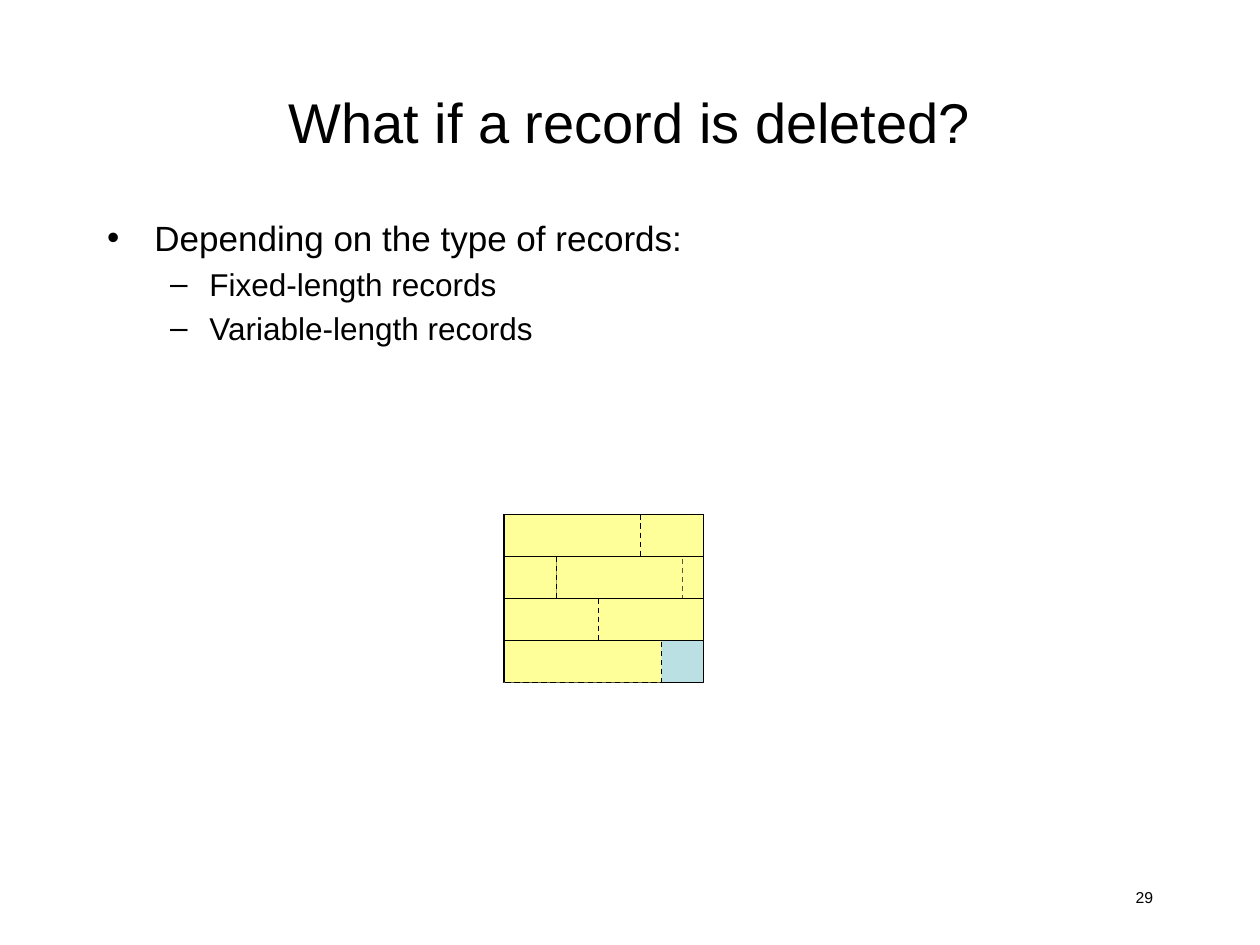
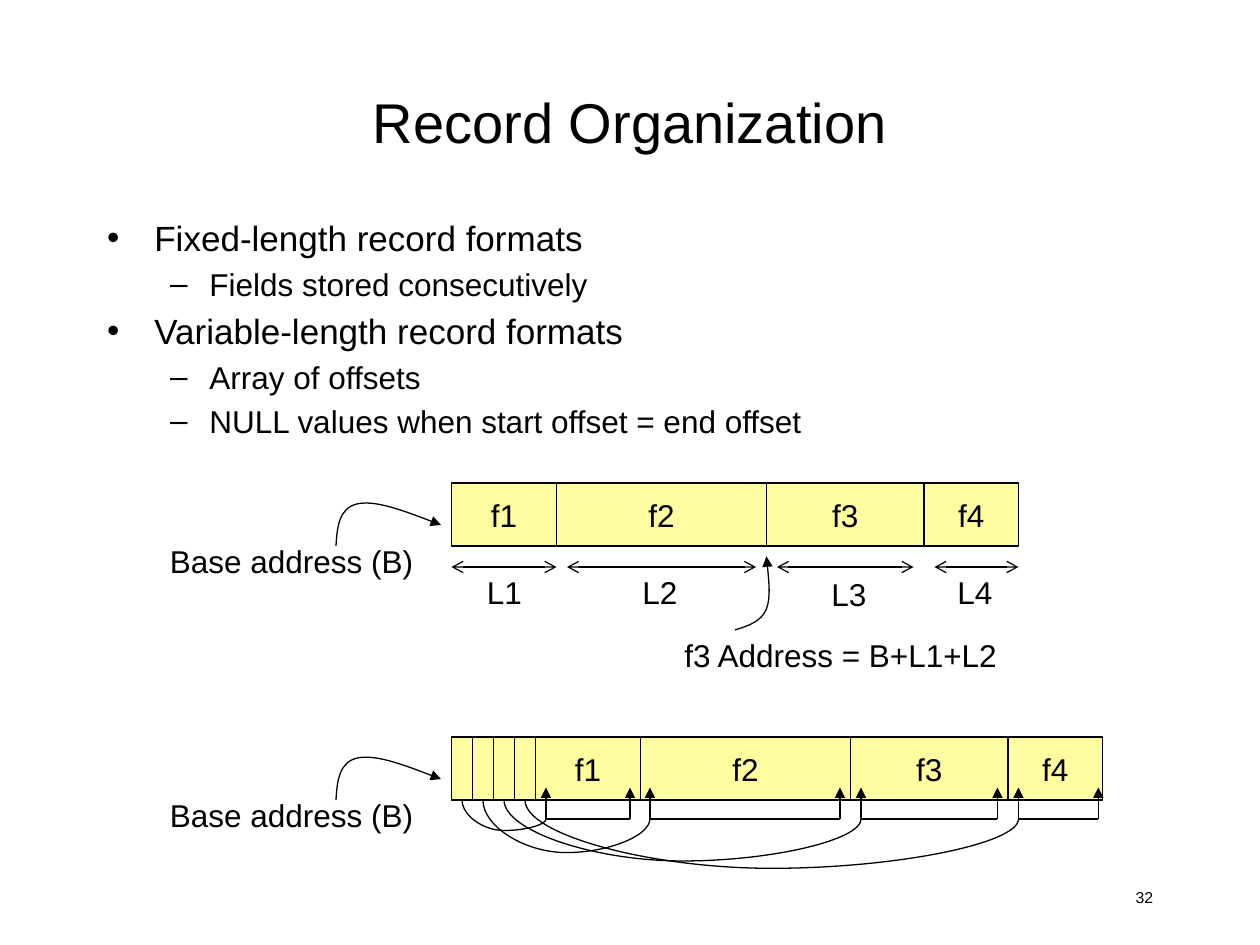
"""Build two lecture slides on deleting and organizing database records."""
from dataclasses import dataclass
from itertools import accumulate

from lxml import etree
from pptx import Presentation
from pptx.dml.color import RGBColor
from pptx.enum.dml import MSO_LINE
from pptx.enum.shapes import MSO_CONNECTOR, MSO_SHAPE
from pptx.enum.text import MSO_ANCHOR, MSO_AUTO_SIZE, PP_ALIGN
from pptx.oxml.ns import qn
from pptx.util import Cm, Pt

RECTANGLE = MSO_SHAPE.RECTANGLE
STRAIGHT, CURVE = MSO_CONNECTOR.STRAIGHT, MSO_CONNECTOR.CURVE
LEFT, CENTER, RIGHT = PP_ALIGN.LEFT, PP_ALIGN.CENTER, PP_ALIGN.RIGHT
TOP, MIDDLE = MSO_ANCHOR.TOP, MSO_ANCHOR.MIDDLE
FIXED, GROW = MSO_AUTO_SIZE.NONE, MSO_AUTO_SIZE.SHAPE_TO_FIT_TEXT
DASH = MSO_LINE.DASH


@dataclass(frozen=True)
class Theme:
    font: str = "Arial"
    ink: RGBColor = RGBColor(0, 0, 0)
    free_space: RGBColor = RGBColor(0xBB, 0xE0, 0xE3)
    stored: RGBColor = RGBColor(0xFF, 0xFF, 0x99)
    field: RGBColor = RGBColor(0xFF, 0xFD, 0xA0)
    title: int = 32
    levels: tuple = (20, 18)
    label: int = 18
    number: int = 9
    stroke: float = 0.75


THEME = Theme()
WIDTH, HEIGHT, COLUMNS = 25.4, 19.05, 120

DELETION = {
    "title": "What if a record is deleted?",
    "number": "29",
    "body_height": 61,
    "bullets": [
        (0, "Depending on the type of records:"),
        (1, "Fixed-length records"),
        (1, "Variable-length records"),
    ],
}
ORGANIZATION = {
    "title": "Record Organization",
    "number": "32",
    "body_height": 62,
    "bullets": [
        (0, "Fixed-length record formats"),
        (1, "Fields stored consecutively"),
        (0, "Variable-length record formats"),
        (1, "Array of offsets"),
        (1, "NULL values when start offset = end offset"),
    ],
}

BLOCK_LEFT, BLOCK_TOP, BLOCK_WIDTH, ROW = 48, 49, 19, 4
ROW_RECORDS = [
    (0, 0, 19, "solid"),
    (3, 0, 15, "dash"),
    (2, 0, 19, "solid"),
    (1, 17, 2, "dash"),
    (1, 0, 5, "dash"),
    (1, 5, 12, None),
]
ROW_BREAKS = [(0, 13), (1, 5), (2, 9)]
SECOND_ROW_SPANS = [(0, 5), (5, 17), (17, 19)]
SOLID_SIDES = [(3, 0), (1, 0), (1, 19)]

FIELDS = [("f1", 10), ("f2", 20), ("f3", 15), ("f4", 9)]
RECORD_LEFT, RECORD_HEIGHT = 43, 6
FIXED_TOP, VARIABLE_TOP = 46, 70.2
LENGTHS = [
    ("L1", 45.2, 54, (43, 53)),
    ("L2", 60, 54, (54, 72)),
    ("L3", 78, 54.2, (74, 87)),
    ("L4", 90, 54, (89, 97)),
]
BASE_POINTER = [(-11, 6), (-10.9, 4.2), (-10.7, 2.4), (-9, 2),
                (-7.3, 1.6), (-4.1, 2.8), (-1, 4)]
FIELD_POINTER = [(70, 60), (71.3, 59.6), (72.5, 59.2), (73, 58),
                 (73.4, 56.9), (73.2, 55), (73, 53)]
SLOT = 2
OFFSETS = [(52, 60, 79.1), (61.9, 80, 81.2), (82, 95, 82), (97, 104.6, 82.7)]
BRACKET_TOP, BRACKET_BOTTOM = 75, 78


def grid(units):
    return Cm(units * WIDTH / COLUMNS)


def place(box, left, top, width, height):
    box.left, box.top = grid(left), grid(top)
    box.width, box.height = grid(width), grid(height)


def add_span(para, text, size):
    span = para.add_run()
    span.text = text
    span.font.name = THEME.font
    span.font.size = Pt(size)
    span.font.color.rgb = THEME.ink


def write_label(box, text, size, align, anchor, auto_size, wrap=False):
    frame = box.text_frame
    frame.word_wrap = wrap
    frame.auto_size = auto_size
    frame.vertical_anchor = anchor
    para = frame.paragraphs[0]
    para.alignment = align
    add_span(para, text, size)


def add_text(shapes, bounds, text, size=THEME.label, align=LEFT,
             auto_size=GROW, wrap=False):
    box = shapes.add_textbox(*map(grid, bounds))
    write_label(box, text, size, align, TOP, auto_size, wrap)


def style_line(shape, dashed=False, head=None, tail=None):
    shape.line.color.rgb = THEME.ink
    shape.line.width = Pt(THEME.stroke)
    if dashed:
        shape.line.dash_style = DASH
    stroke = shape._element.spPr.find(qn("a:ln"))
    for tag, kind in (("a:headEnd", head), ("a:tailEnd", tail)):
        if kind:
            etree.SubElement(stroke, qn(tag)).set("type", kind)


def add_box(shapes, bounds, fill, outline="solid", text=None):
    box = shapes.add_shape(RECTANGLE, *map(grid, bounds))
    box.shadow.inherit = False
    box.fill.solid()
    box.fill.fore_color.rgb = fill
    if outline:
        style_line(box, outline == "dash")
    else:
        box.line.fill.background()
    if text:
        write_label(box, text, THEME.label, CENTER, MIDDLE, FIXED)


def add_line(shapes, start, end, kind=STRAIGHT, **style):
    line = shapes.add_connector(kind, *map(grid, (*start, *end)))
    style_line(line, **style)
    etree.SubElement(line._element.spPr, qn("a:effectLst"))
    return line


def add_sagging_curve(shapes, start, end, lowest):
    (left, top), (right, bottom) = start, end
    center_x, center_y = (left + right) / 2, (top + bottom) / 2
    half_x, half_y = (bottom - top) / 2, (right - left) / 2
    line = add_line(shapes, (center_x - half_x, center_y - half_y),
                    (center_x + half_x, center_y + half_y), CURVE)
    properties = line._element.spPr
    frame = properties.find(qn("a:xfrm"))
    frame.set("rot", "16200000")
    frame.set("flipH", "1")
    guides = properties.find(qn("a:prstGeom")).find(qn("a:avLst"))
    guide = etree.SubElement(guides, qn("a:gd"))
    guide.set("name", "adj1")
    guide.set("fmla", f"val {round((lowest - top) / (bottom - top) * 100000)}")


def add_pointer(shapes, points):
    corners = [(grid(x), grid(y)) for x, y in points]
    builder = shapes.build_freeform(*corners[0])
    builder.add_line_segments(corners[1:], close=False)
    pointer = builder.convert_to_shape()
    pointer.shadow.inherit = False
    pointer.fill.background()
    style_line(pointer, tail="triangle")
    segments = list(pointer._element.iter(qn("a:lnTo")))
    outline = segments[0].getparent()
    for first in range(0, len(segments), 3):
        bend = etree.SubElement(outline, qn("a:cubicBezTo"))
        for segment in segments[first:first + 3]:
            bend.append(segment[0])
            outline.remove(segment)


def add_page(deck, content):
    page = deck.slides.add_slide(deck.slide_layouts[1])
    title, body = page.placeholders
    place(title, 9, 4, 102, 15)
    write_label(title, content["title"], THEME.title, CENTER, MIDDLE, FIXED, True)
    place(body, 9, 20, 102, content["body_height"])
    frame = body.text_frame
    frame.auto_size = FIXED
    for index, (level, text) in enumerate(content["bullets"]):
        para = frame.add_paragraph() if index else frame.paragraphs[0]
        para.level = level
        add_span(para, text, THEME.levels[level])
    add_text(page.shapes, (86, 84, 25, 4), content["number"], THEME.number,
             RIGHT, FIXED, True)
    return page


def draw_block(shapes):
    def at(column, row):
        return BLOCK_LEFT + column, BLOCK_TOP + row * ROW

    add_box(shapes, (*at(0, 0), BLOCK_WIDTH, 4 * ROW), THEME.free_space)
    for row, column, width, outline in ROW_RECORDS:
        add_box(shapes, (*at(column, row), width, ROW), THEME.stored, outline)
    for sides, dashed in ((ROW_BREAKS, True), (SOLID_SIDES, False)):
        for row, column in sides:
            add_line(shapes, at(column, row), at(column, row + 1), dashed=dashed)
    for first, last in SECOND_ROW_SPANS:
        for edge in (1, 2):
            add_line(shapes, at(first, edge), at(last, edge))


def draw_record(shapes, left, top):
    widths = [width for _, width in FIELDS]
    starts = accumulate(widths[:-1], initial=left)
    for (name, width), start in zip(FIELDS, starts):
        add_box(shapes, (start, top, width, RECORD_HEIGHT), THEME.field, text=name)
    add_text(shapes, (15, top + 5, 25.56, 4.8), "Base address (B)")
    add_pointer(shapes, [(RECORD_LEFT + x, top + y) for x, y in BASE_POINTER])


def draw_fixed_record(shapes):
    draw_record(shapes, RECORD_LEFT, FIXED_TOP)
    for name, left, top, (start, end) in LENGTHS:
        add_line(shapes, (start, 54), (end, 54), head="arrow", tail="arrow")
        add_text(shapes, (left, top, 5.8, 4.8), name)
    add_text(shapes, (64, 60, 32.4, 4.8), "f3 Address = B+L1+L2")
    add_pointer(shapes, FIELD_POINTER)


def draw_variable_record(shapes):
    draw_record(shapes, RECORD_LEFT + SLOT * len(OFFSETS), VARIABLE_TOP)
    for index, (start, end, lowest) in enumerate(OFFSETS):
        left = RECORD_LEFT + index * SLOT
        add_box(shapes, (left, VARIABLE_TOP, SLOT, RECORD_HEIGHT), THEME.field)
        for x in (start, end):
            add_line(shapes, (x, BRACKET_TOP), (x, BRACKET_BOTTOM), head="triangle")
        add_line(shapes, (start, BRACKET_BOTTOM), (end, BRACKET_BOTTOM))
        add_sagging_curve(shapes, (left + SLOT / 2, VARIABLE_TOP + RECORD_HEIGHT),
                          (start, BRACKET_BOTTOM), lowest)


def main():
    deck = Presentation()
    deck.slide_width, deck.slide_height = Cm(WIDTH), Cm(HEIGHT)
    deletion = add_page(deck, DELETION)
    draw_block(deletion.shapes.add_group_shape().shapes)
    organization = add_page(deck, ORGANIZATION)
    for draw in (draw_fixed_record, draw_variable_record):
        draw(organization.shapes.add_group_shape().shapes)
    deck.save("out.pptx")


main()
